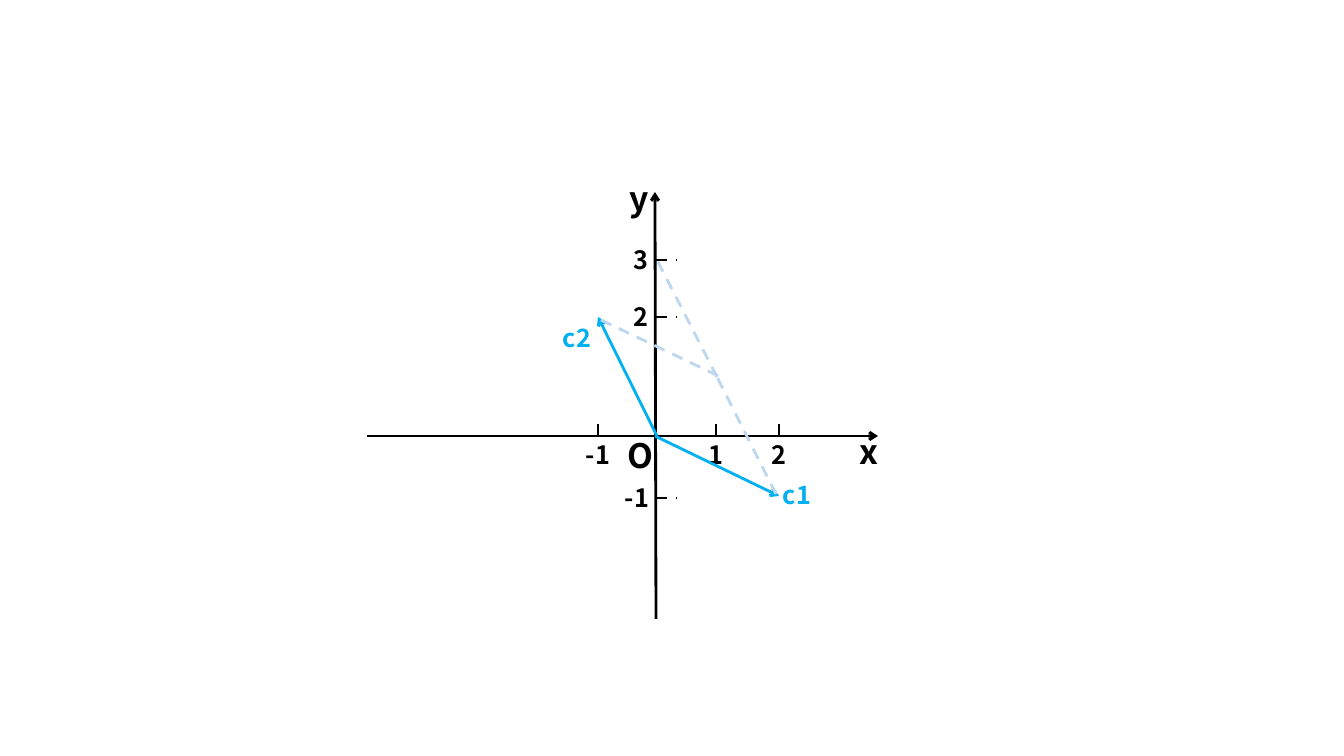
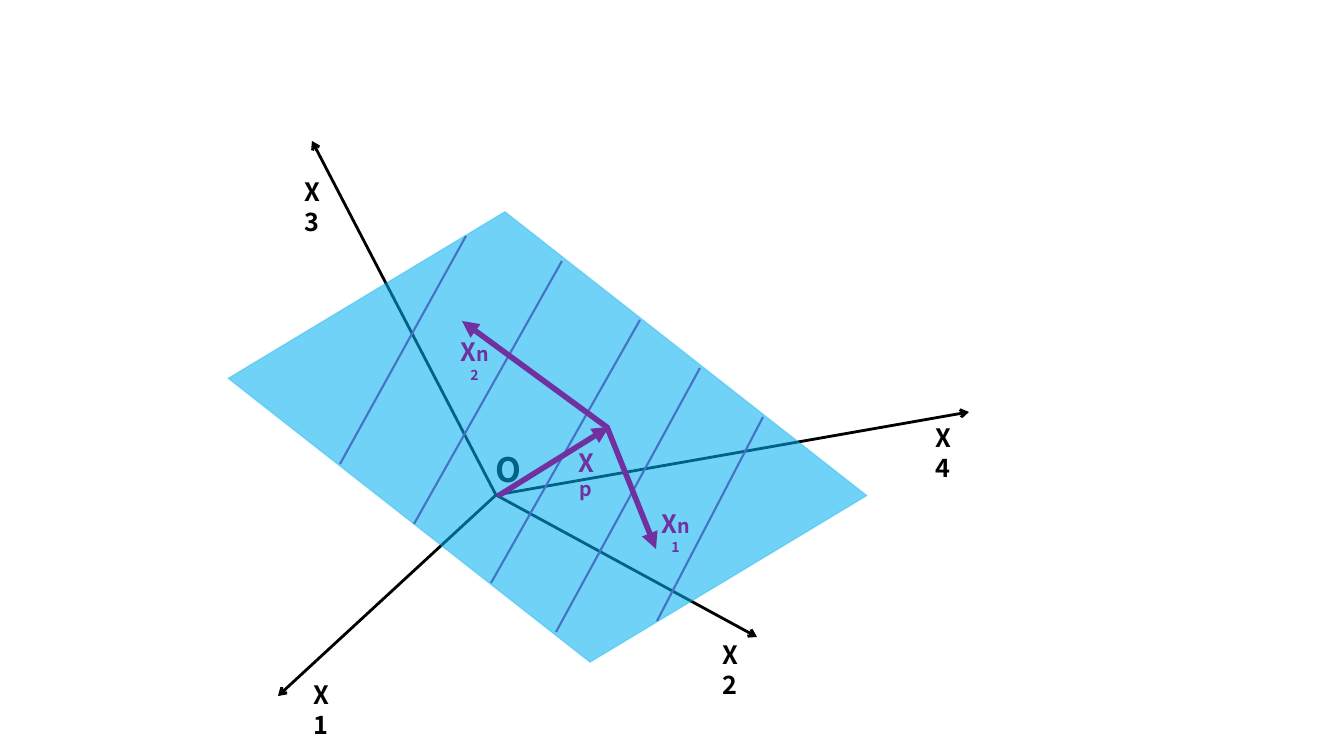
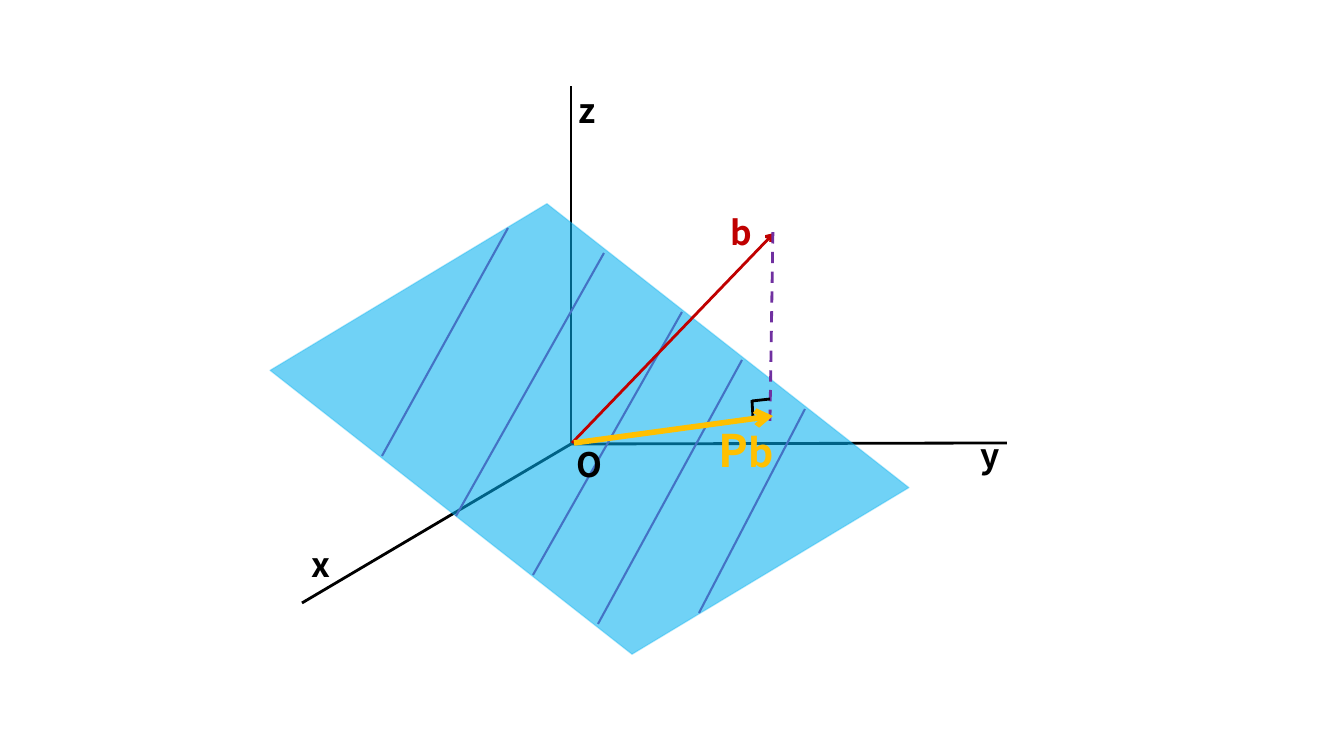
from pptx import Presentation
from pptx.dml.color import RGBColor
from pptx.enum.dml import MSO_LINE
from pptx.enum.shapes import MSO_CONNECTOR, MSO_SHAPE
from pptx.enum.text import MSO_ANCHOR, MSO_AUTO_SIZE, PP_ALIGN
from pptx.oxml.ns import qn
from pptx.util import Pt
from lxml.etree import SubElement

SCALE = 12192000 / 1344
FONT = "Noto Sans CJK SC"
BLACK = RGBColor(0x00, 0x00, 0x00)
CYAN = RGBColor(0x00, 0xB0, 0xF0)
PALE = RGBColor(0xBD, 0xD7, 0xEE)
BLUE = RGBColor(0x44, 0x72, 0xC4)
PURPLE = RGBColor(0x70, 0x30, 0xA0)
RED = RGBColor(0xC0, 0x00, 0x00)
GOLD = RGBColor(0xFF, 0xC0, 0x00)

HATCH = [
    (206, -50, 80, 178),
    (302, -25, 154, 238),
    (380, 34, 231, 297),
    (440, 82, 296, 346),
    (503, 131, 397, 335),
]


def px(*nums):
    return [round(num * SCALE) for num in nums]


def draw_line(slide, ends, color=BLACK, width=2, head=None, dash=False):
    line = slide.shapes.add_connector(MSO_CONNECTOR.STRAIGHT, *px(*ends))
    line.line.color.rgb = color
    line.line.width = Pt(width)
    if dash:
        line.line.dash_style = MSO_LINE.DASH
    props = line._element.spPr
    if head:
        SubElement(props.find(qn("a:ln")), qn("a:tailEnd"), type=head)
    SubElement(props, qn("a:effectLst"))


def add_label(slide, left, top, width, runs, color=BLACK):
    size = runs[0][1]
    box = slide.shapes.add_textbox(*px(left, top, width, 2 * size + 2))
    frame = box.text_frame
    frame.word_wrap = True
    frame.auto_size = MSO_AUTO_SIZE.SHAPE_TO_FIT_TEXT
    frame.vertical_anchor = MSO_ANCHOR.TOP
    para = frame.paragraphs[0]
    para.alignment = PP_ALIGN.CENTER
    para.font.name = FONT
    para.font.bold = True
    para.font.color.rgb = color
    para.font.size = Pt(size)
    for text, points in runs:
        run = para.add_run()
        run.text = text
        if points != size:
            run.font.size = Pt(points)


def set_alpha(fill, percent):
    color = fill._xPr.find(qn("a:solidFill"))[0]
    SubElement(color, qn("a:alpha"), val=str(percent * 1000))


def add_plane(slide, left, top):
    plane = slide.shapes.add_shape(
        MSO_SHAPE.FLOWCHART_DATA, *px(left, top, 575, 302))
    plane.rotation = 38.1
    plane.shadow.inherit = False
    plane.fill.solid()
    plane.fill.fore_color.rgb = CYAN
    set_alpha(plane.fill, 56)
    plane.line.color.rgb = CYAN
    plane.line.width = Pt(1)
    set_alpha(plane.line.fill, 27)
    for x1, y1, x2, y2 in HATCH:
        ends = (left + x1, top + y1, left + x2, top + y2)
        draw_line(slide, ends, BLUE, 1.5)


def draw_sum(slide):
    draw_line(slide, (717, 377, 656, 258), PALE, dash=True)
    draw_line(slide, (367, 436, 878, 436), head="arrow")
    draw_line(slide, (656, 619, 655, 192), head="arrow")
    for text, left, top, width in [
            ("x", 850, 426, 37), ("y", 620, 173, 37), ("O", 617, 430, 46)]:
        add_label(slide, left, top, width, [(text, 24)])
    for text, x in [("1", 716), ("2", 779), ("-1", 598)]:
        draw_line(slide, (x, 424, x, 436), dash=True)
        add_label(slide, x - 25, 434, 50, [(text, 18)])
    for text, y, left in [("2", 317, 616), ("-1", 498, 612), ("3", 260, 616)]:
        draw_line(slide, (656, y, 676, y), dash=True)
        add_label(slide, left, y - 21, 50, [(text, 18)])
    draw_line(slide, (655, 436, 779, 496), CYAN, head="arrow")
    draw_line(slide, (657, 436, 598, 317), CYAN, head="arrow")
    draw_line(slide, (776, 494, 716, 375), PALE, dash=True)
    add_label(slide, 769, 474, 56, [("c1", 18)], CYAN)
    add_label(slide, 549, 317, 56, [("c2", 18)], CYAN)
    draw_line(slide, (601, 320, 725, 379), PALE, dash=True)


def draw_space(slide):
    for text, x, y, left, top in [
            ("X4", 969, 412, 918, 417), ("X3", 312, 141, 287, 171),
            ("X1", 278, 696, 296, 674), ("X2", 757, 637, 705, 634)]:
        draw_line(slide, (496, 495, x, y), head="arrow")
        add_label(slide, left, top, 50, [(text, 18)])
    add_label(slide, 485, 444, 46, [("O", 24)])
    add_plane(slide, 260, 286)
    for ends in [(608, 428, 462, 321), (607, 427, 656, 549),
                 (498, 496, 609, 427)]:
        draw_line(slide, ends, PURPLE, 4, "triangle")
    for left, top, digit in [(648, 503, "1"), (447, 331, "2")]:
        runs = [("X", 18), ("n", 14), (digit, 10)]
        add_label(slide, left, top, 55, runs, PURPLE)
    add_label(slide, 562, 442, 48, [("X", 18), ("p", 14)], PURPLE)


def draw_shade(slide):
    for x, y in [(302, 603), (571, 86), (1007, 443)]:
        draw_line(slide, (571, 444, x, y))
    add_plane(slide, 302, 278)
    for text, left, top, width, color in [
            ("b", 721, 207, 41, RED), ("x", 302, 539, 37, BLACK),
            ("y", 971, 430, 37, BLACK), ("z", 569, 85, 37, BLACK),
            ("O", 566, 439, 46, BLACK)]:
        add_label(slide, left, top, width, [(text, 24)], color)
    add_label(slide, 707, 418, 79, [("P", 32), ("b", 28)], GOLD)
    draw_line(slide, (572, 443, 774, 233), RED, head="arrow")
    draw_line(slide, (770, 421, 773, 227), PURPLE, dash=True)
    draw_line(slide, (753, 418, 752, 400))
    draw_line(slide, (752, 401, 770, 399))
    draw_line(slide, (574, 443, 773, 416), GOLD, 4, "arrow")


def main():
    deck = Presentation()
    deck.slide_width, deck.slide_height = px(1344, 756)
    for draw in (draw_sum, draw_space, draw_shade):
        draw(deck.slides.add_slide(deck.slide_layouts[6]))
    deck.save("out.pptx")


if __name__ == "__main__":
    main()
